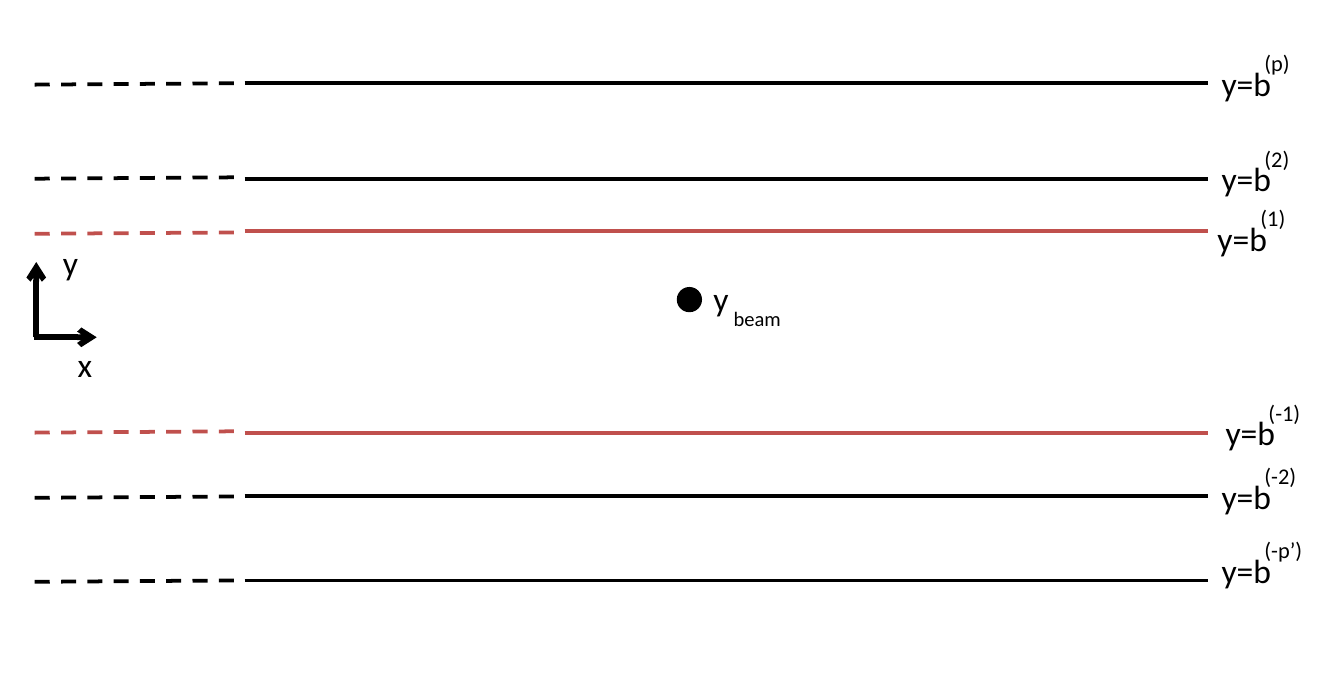
from lxml.etree import SubElement
from pptx import Presentation
from pptx.dml.color import RGBColor
from pptx.enum.dml import MSO_LINE
from pptx.enum.shapes import MSO_CONNECTOR, MSO_SHAPE
from pptx.enum.text import MSO_AUTO_SIZE
from pptx.oxml.ns import qn
from pptx.util import Inches, Pt

BLACK = RGBColor(0x00, 0x00, 0x00)
RED = RGBColor(0xC0, 0x50, 0x4D)
COLUMNS, ROWS = 100, 51.2

PLATES = [
    ("(p)", 6.2, 6.2, 89.9, 4.2, 3.9, BLACK),
    ("(2)", 13.3, 13.2, 89.9, 11.3, 3.9, BLACK),
    ("(1)", 17.2, 17.3, 89.6, 15.7, 3.9, RED),
    ("(-1)", 32.2, 32.1, 90.2, 30.2, 4.4, RED),
    ("(-2)", 36.9, 36.95, 89.9, 34.9, 4.4, BLACK),
    ("(-p’)", 43.2, 43.2, 89.9, 40.4, 4.8, BLACK),
]


def write(frame, text, size=18, color=BLACK, font="Calibri", wrap=False):
    """Put formatted text into a text frame."""
    frame.word_wrap = wrap
    frame.auto_size = MSO_AUTO_SIZE.SHAPE_TO_FIT_TEXT
    run = frame.paragraphs[0].add_run()
    run.text = text
    run.font.size = Pt(size)
    run.font.name = font
    run.font.color.rgb = color


class Diagram:
    """Draws on one slide, measured in columns and rows of a square grid."""

    def __init__(self, deck):
        self.slide = deck.slides.add_slide(deck.slide_layouts[6])
        self.column = deck.slide_width / COLUMNS
        self.row = deck.slide_height / ROWS

    def place(self, x, y):
        return round(x * self.column), round(y * self.row)

    def line(self, start, end, color=BLACK, width=2, dashed=False, arrow=False):
        connector = self.slide.shapes.add_connector(
            MSO_CONNECTOR.STRAIGHT, *self.place(*start), *self.place(*end))
        connector.line.color.rgb = color
        connector.line.width = Pt(width)
        if dashed:
            connector.line.dash_style = MSO_LINE.DASH
        if arrow:
            SubElement(connector.line._get_or_add_ln(), qn("a:tailEnd"), type="arrow")
        SubElement(connector._element.spPr, qn("a:effectLst"))

    def label(self, text, x, y, width, height=4, **style):
        box = self.slide.shapes.add_textbox(
            *self.place(x, y), *self.place(width, height))
        write(box.text_frame, text, **style)

    def dot(self, x, y, size, color=BLACK):
        circle = self.slide.shapes.add_shape(
            MSO_SHAPE.OVAL, *self.place(x, y), *self.place(size, size))
        circle.shadow.inherit = False
        circle.fill.solid()
        circle.fill.fore_color.rgb = color
        circle.line.color.rgb = color
        circle.line.width = Pt(2)

    def plate(self, index, level, dash_level, x, y, index_width, color):
        self.line((18.2, level), (89.9, level), color)
        self.line((17.4, dash_level), (2.45, dash_level + 0.1), color, dashed=True)
        self.label("y=b", x, y, 5.8)
        self.label(index, x + 3.2, y - 1, index_width, 3, size=12)

    def axes(self):
        self.line((2.5, 25.1), (7.2, 25.1), width=3, arrow=True)
        self.line((2.7, 25.1), (2.7, 19.5), width=3, arrow=True)
        self.label("x", 4.8, 25.1, 3.9, wrap=True)
        self.label("y", 3.7, 17.5, 3.2)

    def beam(self):
        self.dot(50.5, 21.5, 1.6)
        self.label("y", 52.1, 20.2, 7.1, wrap=True)
        self.label("beam", 53.6, 22.3, 5.6, 2.9, size=11)


def main():
    deck = Presentation()
    deck.slide_width, deck.slide_height = Inches(10), Inches(5.12)
    diagram = Diagram(deck)
    for plate in PLATES:
        diagram.plate(*plate)
    diagram.axes()
    diagram.beam()
    deck.save("out.pptx")


if __name__ == "__main__":
    main()
